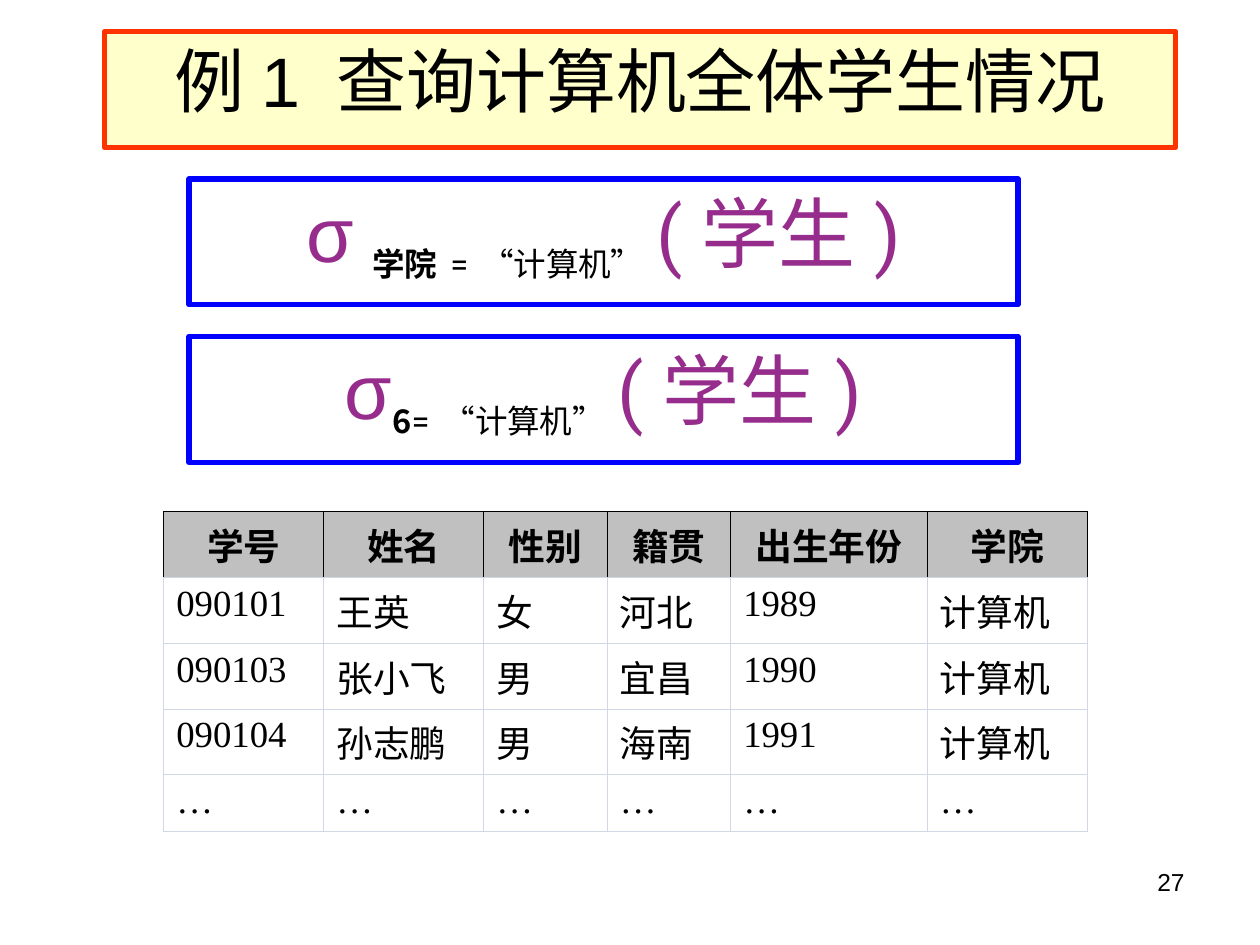
from dataclasses import dataclass
from typing import Any

import lxml.etree
import pptx
import pptx.dml.color
import pptx.enum.shapes
import pptx.enum.text
import pptx.oxml
import pptx.oxml.ns
import pptx.util
from pptx.util import Inches

RGBColor = pptx.dml.color.RGBColor
Align = pptx.enum.text.PP_ALIGN
Anchor = pptx.enum.text.MSO_ANCHOR

BLACK = RGBColor(0x00, 0x00, 0x00)
WHITE = RGBColor(0xFF, 0xFF, 0xFF)
CREAM = RGBColor(0xFF, 0xFF, 0xCC)
ORANGE = RGBColor(0xFF, 0x33, 0x00)
BLUE = RGBColor(0x00, 0x00, 0xFF)
PURPLE = RGBColor(0x96, 0x2C, 0x8C)
GREY = RGBColor(0xC0, 0xC0, 0xC0)
PALE_BLUE = RGBColor(0xD0, 0xD7, 0xE5)

CHINESE_FONT = "Noto Sans CJK SC"
SERIF = "Times New Roman"


@dataclass(frozen=True)
class Selection:
    attribute: str
    top: float


SELECTIONS = [Selection("学院", 1.42), Selection("6", 2.67)]
COLUMN_WIDTHS = [1.27, 1.27, 0.98, 0.98, 1.56, 1.27]
STUDENTS = [
    ["学号", "姓名", "性别", "籍贯", "出生年份", "学院"],
    ["090101", "王英", "女", "河北", "1989", "计算机"],
    ["090103", "张小飞", "男", "宜昌", "1990", "计算机"],
    ["090104", "孙志鹏", "男", "海南", "1991", "计算机"],
    ["…"] * 6,
]


def add_text(paragraph: Any, text: str, *, size: float, font: str = "Arial",
             color: RGBColor = BLACK, bold: bool = False, baseline: int = 0) -> None:
    run = paragraph.add_run()
    run.text = text
    run.font.size = pptx.util.Pt(size)
    run.font.bold = bold
    run.font.color.rgb = color
    run.font.name = font
    properties = run.font._element
    properties.set("lang", "zh-CN")
    if baseline:
        properties.set("baseline", str(baseline * 1000))
    east_asian = lxml.etree.SubElement(properties, pptx.oxml.ns.qn("a:ea"))
    east_asian.set("typeface", CHINESE_FONT)


def style_box(shape: Any, fill: RGBColor, line: RGBColor) -> Any:
    shape.fill.solid()
    shape.fill.fore_color.rgb = fill
    shape.line.color.rgb = line
    shape.line.width = pptx.util.Pt(3)
    frame = shape.text_frame
    frame.word_wrap = True
    frame.auto_size = pptx.enum.text.MSO_AUTO_SIZE.NONE
    frame.vertical_anchor = Anchor.TOP
    paragraph = frame.paragraphs[0]
    paragraph.alignment = Align.CENTER
    return paragraph


def add_heading(slide: Any) -> None:
    title = slide.shapes.title
    title.left, title.top = Inches(0.83), Inches(0.25)
    title.width, title.height = Inches(8.5), Inches(0.92)
    paragraph = style_box(title, CREAM, ORANGE)
    add_text(paragraph, "例1 查询计算机全体学生情况", size=40)


def add_selection(slide: Any, selection: Selection) -> None:
    box = slide.shapes.add_shape(
        pptx.enum.shapes.MSO_SHAPE.RECTANGLE,
        Inches(1.5), Inches(selection.top), Inches(6.58), Inches(1))
    box.shadow.inherit = False
    formula = style_box(box, WHITE, BLUE)
    add_text(formula, "σ", size=44, color=PURPLE)
    add_text(formula, selection.attribute, size=32, font=CHINESE_FONT, bold=True, baseline=-25)
    for part, font in [("=", "Roboto"), ("“", SERIF), ("计算机", "Roboto"), ("”", SERIF)]:
        add_text(formula, part, size=32, font=font, baseline=-25)
    add_text(formula, "(学生)", size=44, font="Roboto", color=PURPLE)


def set_borders(cell: Any, edges: dict[str, RGBColor]) -> None:
    properties = cell._tc.get_or_add_tcPr()
    for index, (edge, color) in enumerate(edges.items()):
        properties.insert(index, pptx.oxml.parse_xml(
            f'<a:{edge} {pptx.oxml.ns.nsdecls("a")} w="5715"><a:solidFill>'
            f'<a:srgbClr val="{color}"/></a:solidFill></a:{edge}>'))


def add_students(slide: Any) -> None:
    table = slide.shapes.add_table(
        len(STUDENTS), len(COLUMN_WIDTHS), Inches(1.3), Inches(4.06),
        Inches(sum(COLUMN_WIDTHS)), Inches(0.45 * len(STUDENTS))).table
    for column, width in zip(table.columns, COLUMN_WIDTHS):
        column.width = Inches(width)
    for row, values in enumerate(STUDENTS):
        header = row == 0
        edge_color = BLACK if header else PALE_BLUE
        for column, value in enumerate(values):
            cell = table.cell(row, column)
            cell.fill.solid()
            cell.fill.fore_color.rgb = GREY if header else WHITE
            cell.vertical_anchor = Anchor.MIDDLE if header else Anchor.TOP
            set_borders(cell, {"lnL": edge_color, "lnR": edge_color,
                               "lnT": BLACK if header else PALE_BLUE, "lnB": PALE_BLUE})
            paragraph = cell.text_frame.paragraphs[0]
            paragraph.alignment = Align.CENTER if header else Align.LEFT
            add_text(paragraph, value, size=21, font=SERIF, bold=header)


def add_page_number(slide: Any) -> None:
    box = slide.shapes.add_textbox(Inches(7.17), Inches(6.83), Inches(2.33), Inches(0.52))
    box.text_frame.word_wrap = True
    paragraph = box.text_frame.paragraphs[0]
    paragraph.alignment = Align.RIGHT
    add_text(paragraph, "27", size=14)


def main() -> None:
    presentation = pptx.Presentation()
    presentation.slide_width, presentation.slide_height = Inches(10), Inches(7.5)
    slide = presentation.slides.add_slide(presentation.slide_layouts[5])
    add_heading(slide)
    for selection in SELECTIONS:
        add_selection(slide, selection)
    add_students(slide)
    add_page_number(slide)
    presentation.save("out.pptx")


if __name__ == "__main__":
    main()
